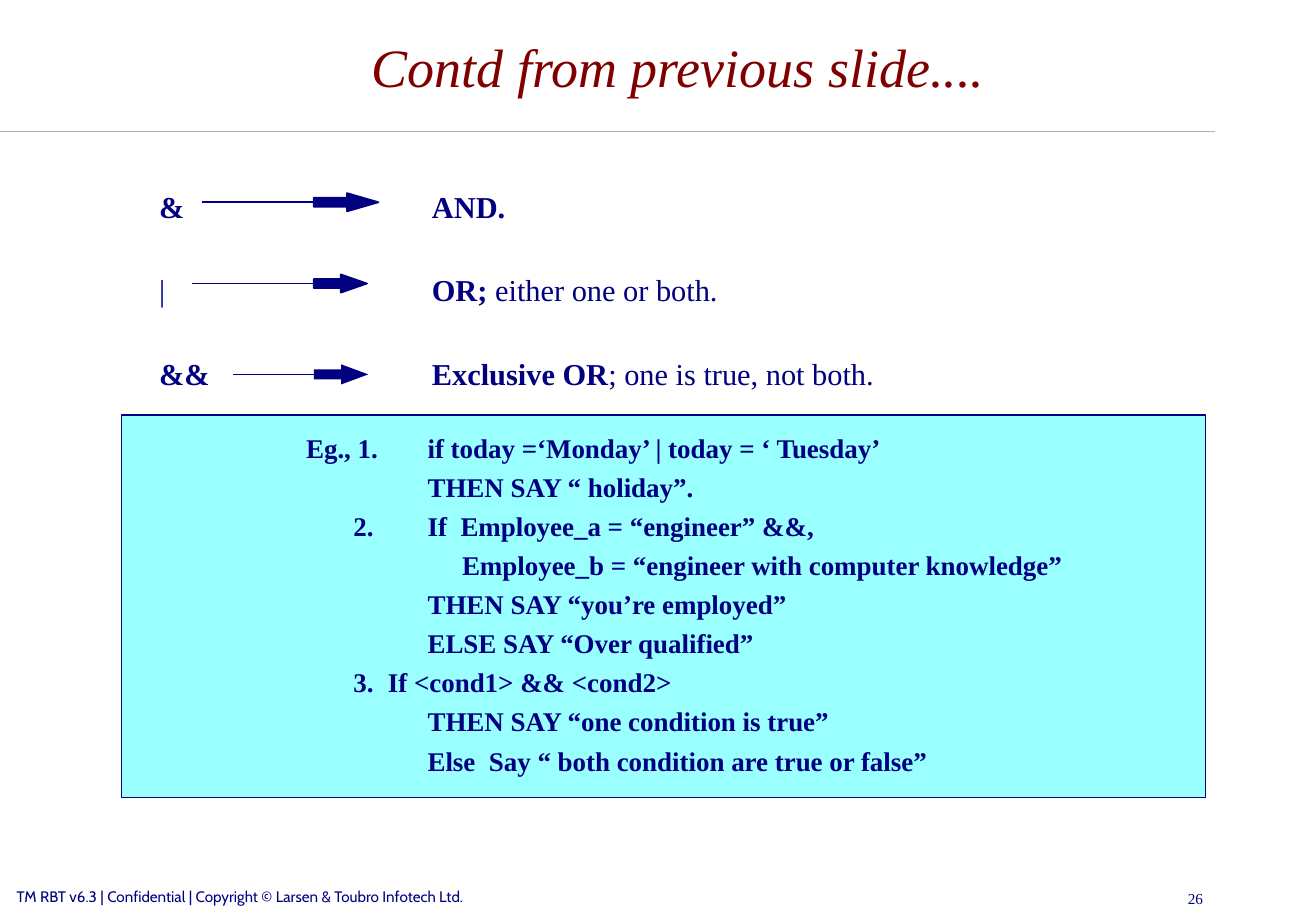
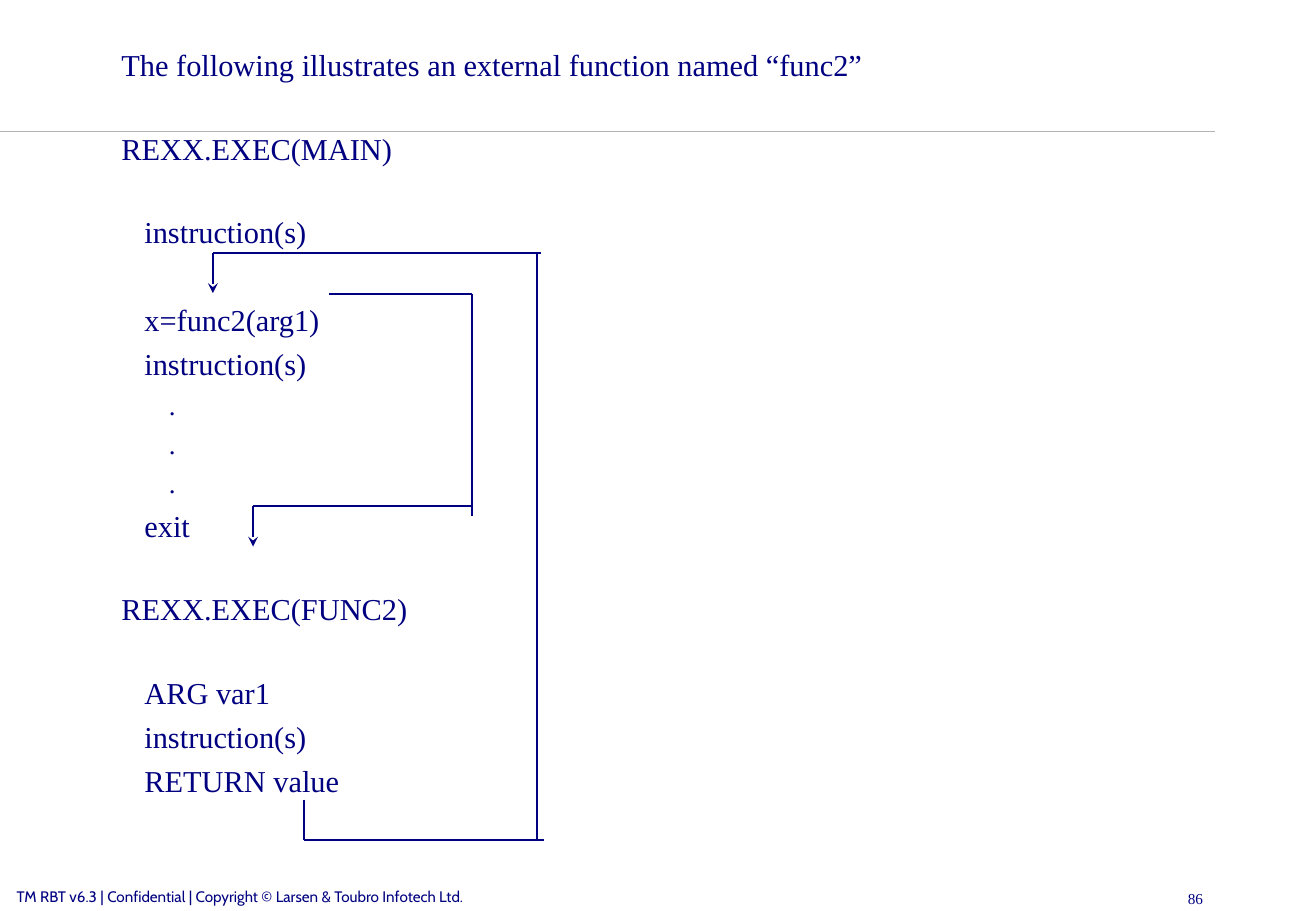
from dataclasses import dataclass

from lxml import etree
from pptx import Presentation
from pptx.dml.color import RGBColor
from pptx.enum import shapes, text
from pptx.oxml import ns
from pptx.util import Cm, Pt

NAVY = RGBColor(0x00, 0x00, 0x80)
MAROON = RGBColor(0x80, 0x00, 0x00)
GREY = RGBColor(0xB2, 0xB2, 0xB2)
AQUA = RGBColor(0x99, 0xFF, 0xFF)
SERIF = "Times New Roman"
FOOTER = "TM RBT v6.3 | Confidential | Copyright © Larsen & Toubro Infotech Ltd."
TITLE_ONLY, BLANK = 5, 6
STROKE = Pt(1.04)

# Space before, in points: small and plain lines, and lines after a gap
SMALL, PLAIN, GAP, WIDE_GAP = 4, 4.5, 27.8, 30.7


@dataclass
class Span:
    text: str
    bold: bool = False


@dataclass
class Line:
    """One paragraph; lengths in cm, spacing in points."""
    spans: list[Span]
    size: float = 18
    before: float = PLAIN
    indent: float = 0
    tabs: tuple[float, ...] = ()


@dataclass
class Operator:
    spans: list[Span]
    y: float
    start: float
    end: float
    head_width: float
    head_height: float
    head_ratio: float
    outlined: bool = True


@dataclass
class Segment:
    x1: float
    y1: float
    x2: float
    y2: float
    arrow: bool = False


OPERATORS = [
    Operator([Span("&\tAND.", True)], 4.23, 4.23, 7.45, 1.35, 0.38, 1.72),
    Operator([Span("|\t"), Span("OR;", True), Span(" either one or both.")],
             5.93, 4.02, 7.7, 1.11, 0.38, 1.43),
    Operator([Span("&&\tExclusive OR", True), Span("; one is true, not both.")],
             7.83, 4.88, 7.62, 1.14, 0.42, 1.35, False),
]

# Example text with the tab stops that each line uses
EXAMPLES = [
    ("\tEg., 1.\tif today =‘Monday’ | today = ‘ Tuesday’", (2.54, 5.08)),
    ("\tTHEN SAY “ holiday”.", (5.08,)),
    ("\t2.\tIf  Employee_a = “engineer” &&,", (3.53, 5.08)),
    ("\tEmployee_b = “engineer with computer knowledge”", (5.8,)),
    ("\tTHEN SAY “you’re employed”", (5.08,)),
    ("\tELSE SAY “Over qualified”", (5.08,)),
    ("\t3.\tIf <cond1> && <cond2>", (3.53, 4.25)),
    ("\tTHEN SAY “one condition is true”", (5.08,)),
    ("\tElse  Say “ both condition are true or false”", (5.08,)),
]

CODE_INDENT, DOT_INDENT = 0.48, 0.99
LISTING = [
    ("The following illustrates an external function named “func2”", 0, PLAIN),
    ("REXX.EXEC(MAIN)", 0, GAP),
    ("instruction(s)", CODE_INDENT, GAP),
    ("x=func2(arg1)", CODE_INDENT, WIDE_GAP),
    ("instruction(s)", CODE_INDENT, PLAIN),
    *[(".", DOT_INDENT, SMALL)] * 3,
    ("exit", CODE_INDENT, PLAIN),
    ("REXX.EXEC(FUNC2)", 0, GAP),
    ("ARG var1", CODE_INDENT, GAP),
    ("instruction(s)", CODE_INDENT, PLAIN),
    ("RETURN value", CODE_INDENT, PLAIN),
]

RETURN_PATH = [
    Segment(6.35, 16.72, 6.35, 17.57),
    Segment(6.35, 17.57, 11.38, 17.57),
    Segment(11.22, 17.57, 11.22, 5.29),
    Segment(11.31, 5.29, 4.45, 5.29),
    Segment(4.45, 5.29, 4.45, 6.13, True),
]
CALL_PATH = [
    Segment(6.88, 6.14, 9.86, 6.14),
    Segment(9.86, 6.14, 9.86, 10.8),
    Segment(9.88, 10.58, 5.29, 10.58),
    Segment(5.29, 10.58, 5.29, 11.43, True),
]


def style(span, size: float, color: RGBColor = NAVY, bold: bool = False,
          italic: bool = False, name: str = SERIF) -> None:
    font = span.font
    font.name, font.size = name, Pt(size)
    font.bold, font.italic = bold, italic
    font.color.rgb = color


def add_text(page, left: float, top: float, width: float, height: float,
             lines: list[Line], inset: float = 0.25, name: str = SERIF,
             align=text.PP_ALIGN.LEFT) -> None:
    box = page.shapes.add_textbox(Cm(left), Cm(top), Cm(width), Cm(height))
    frame = box.text_frame
    frame.word_wrap = True
    frame.margin_left = Cm(inset)
    for number, line in enumerate(lines):
        para = frame.add_paragraph() if number else frame.paragraphs[0]
        props = para._p.get_or_add_pPr()
        if line.indent:
            props.set("marL", str(Cm(line.indent)))
        if line.tabs:
            stops = etree.SubElement(props, ns.qn("a:tabLst"))
            for stop in line.tabs:
                etree.SubElement(stops, ns.qn("a:tab"), pos=str(Cm(stop)), algn="l")
        para.alignment = align
        if number:
            para.space_before = Pt(line.before)
        for part in line.spans:
            span = para.add_run()
            span.text = part.text
            style(span, line.size, bold=part.bold, name=name)


def add_line(page, segment: Segment, color: RGBColor = NAVY):
    line = page.shapes.add_connector(
        shapes.MSO_CONNECTOR.STRAIGHT, Cm(segment.x1), Cm(segment.y1),
        Cm(segment.x2), Cm(segment.y2))
    line.line.color.rgb = color
    line.line.width = STROKE
    if segment.arrow:
        etree.SubElement(line.line._get_or_add_ln(), ns.qn("a:tailEnd"), type="stealth")
    etree.SubElement(line._element.spPr, ns.qn("a:effectLst"))
    return line


def add_block(page, kind, left: float, top: float, width: float, height: float,
              fill: RGBColor, outlined: bool = True):
    block = page.shapes.add_shape(kind, Cm(left), Cm(top), Cm(width), Cm(height))
    block.shadow.inherit = False
    block.fill.solid()
    block.fill.fore_color.rgb = fill
    if outlined:
        block.line.color.rgb = NAVY
        block.line.width = STROKE
    else:
        block.line.fill.background()
    return block


def add_page(deck, layout: int, number: int):
    page = deck.slides.add_slide(deck.slide_layouts[layout])
    add_text(page, 0.1, 18.42, 11.96, 0.51, [Line([Span(FOOTER)], 9)], name="Cabin")
    add_text(page, 19.48, 18.47, 5.92, 0.55, [Line([Span(str(number))], 9)],
             align=text.PP_ALIGN.RIGHT)
    return page


def add_operators_page(deck):
    page = add_page(deck, TITLE_ONLY, 26)

    # Title
    title = page.shapes.title
    title.left, title.top, title.width, title.height = Cm(7.52), Cm(0), Cm(19.5), Cm(2.76)
    frame = title.text_frame
    frame.text = "Contd from previous slide...."
    frame.vertical_anchor = text.MSO_ANCHOR.MIDDLE
    frame.paragraphs[0].alignment = text.PP_ALIGN.LEFT
    style(frame.paragraphs[0].runs[0], 32, MAROON, italic=True)

    # Operators and their arrows
    add_text(page, 2.11, 3.81, 23.37, 11.43,
             [Line(row.spans, before=GAP, tabs=(5.7,)) for row in OPERATORS], inset=1.22)
    for row in OPERATORS:
        add_line(page, Segment(row.start, row.y, row.end, row.y))
        head = add_block(page, shapes.MSO_SHAPE.RIGHT_ARROW, 6.56,
                         row.y - row.head_height / 2, row.head_width,
                         row.head_height, NAVY, row.outlined)
        head.adjustments[1] = row.head_ratio

    # Example panel
    add_block(page, shapes.MSO_SHAPE.RECTANGLE, 2.54, 8.68, 22.66, 8, AQUA)
    add_text(page, 3.61, 8.89, 19.5, 7.47,
             [Line([Span(words, True)], 16, SMALL, tabs=tabs) for words, tabs in EXAMPLES])
    return page


def add_function_page(deck) -> None:
    page = add_page(deck, BLANK, 86)
    add_text(page, 2.29, 0.85, 23.37, 17.57,
             [Line([Span(words)], 16 if words == "." else 18, before, indent)
              for words, indent, before in LISTING])
    for segment in RETURN_PATH + CALL_PATH:
        add_line(page, segment)


def main() -> None:
    deck = Presentation()
    deck.slide_width, deck.slide_height = Cm(27.51), Cm(19.05)
    page = add_operators_page(deck)
    add_function_page(deck)

    # Header rule, moved to the master so that every page shows it
    rule = add_line(page, Segment(0, 2.75, 25.4, 2.75), GREY)
    deck.slide_master.element.cSld.spTree.append(rule._element)
    deck.save("out.pptx")


if __name__ == "__main__":
    main()
